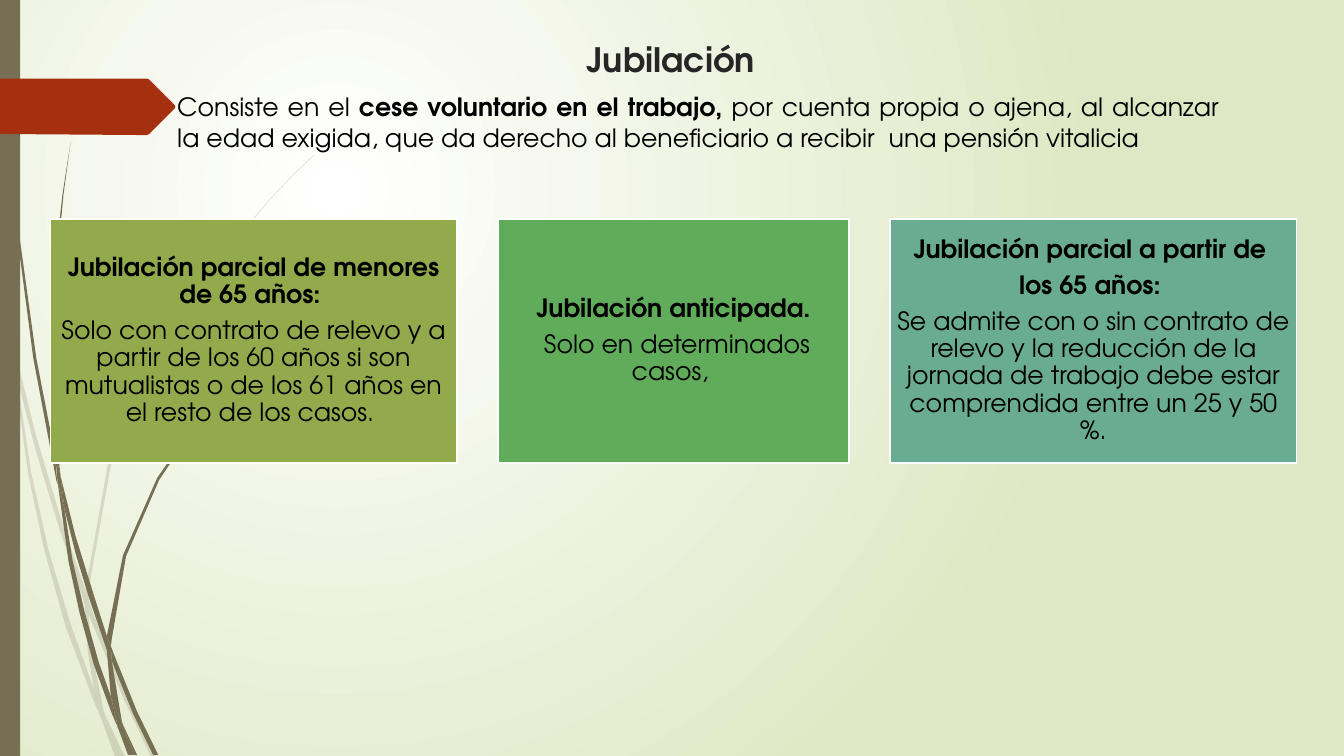
from lxml import etree
from pptx import Presentation
from pptx.dml.color import RGBColor
from pptx.enum.shapes import MSO_SHAPE
from pptx.enum.text import MSO_ANCHOR, MSO_AUTO_SIZE, PP_ALIGN
from pptx.oxml.ns import qn
from pptx.util import Pt

PX = 9144  # EMU per px, 100 px to the inch
FONT = "TeX Gyre Adventor"
BROWN, RED, WHITE, BLACK = "766F54", "A53010", "FFFFFF", "000000"
RECT = MSO_SHAPE.RECTANGLE
TOP, MIDDLE = MSO_ANCHOR.TOP, MSO_ANCHOR.MIDDLE
CENTER, JUSTIFY = PP_ALIGN.CENTER, PP_ALIGN.JUSTIFY


def paint(fill, color):
    fill.solid()
    fill.fore_color.rgb = RGBColor.from_string(color)


def add_text(p, text, size=18, bold=False, color=BLACK, align=CENTER):
    p.alignment = align
    r = p.add_run()
    r.text = text
    r.font.name, r.font.size, r.font.bold = FONT, Pt(size), bold
    paint(r.font.fill, color)


prs = Presentation()
prs.slide_width, prs.slide_height = 1333 * PX, 750 * PX
slide = prs.slides.add_slide(prs.slide_layouts[5])
shapes = slide.shapes

# Background: radial gradient, white at a quarter of the width and height
bg = slide.background.fill
bg.gradient()
for stop, color, position in zip(bg.gradient_stops, (WHITE, "DFE8C4"), (0, 1)):
    stop.color.rgb = RGBColor.from_string(color)
    stop.position = position
lin = slide.element.find(".//" + qn("a:lin"))
path = etree.Element(qn("a:path"), path="circle")
etree.SubElement(path, qn("a:fillToRect"), l="50000", t="50000", r="100000", b="100000")
lin.getparent().replace(lin, path)

# Outlines of the grass blades, the edge bar and the tag
PALE_BLADES = [
    "11,350 9,322 0,282 0,299 10,344",
    "58,522 84,599 85,586 62,520 36,433 14,345 17,376 36,449",
    "92,607 88,596 88,610 123,694 150,751 155,751 127,692",
    "119,751 124,751 105,711",
    "93,683 70,619 48,545 31,469 17,376 11,350 28,470 44,546 65,621 92,693 101,714 99,707",
    "84,599 87,646 93,683 96,692 105,711 103,706 91,646 88,610 88,608",
    "88,584 110,462 160,349 229,245 268,198 290,175 312,154 312,153 289,175 268,197 "
    "228,244 158,348 107,461 85,584 85,586 88,596",
    "101,714 114,751 119,751",
    "88,608 88,610 88,596 85,586 84,599",
    "96,692 93,683 99,707 101,714 119,751 105,711",
]
DARK_BLADES = [
    "7,110 17,233 33,355 56,477 57,481 55,457 55,453 36,355 19,232 8,109 5,48 4,0 3,0 4,48",
    "88,592 106,645 106,633 106,631 93,590 75,532 60,472 64,505 75,549",
    "113,649 110,641 111,656 132,708 152,749 157,749 136,706",
    "110,691 98,657 84,607 72,556 64,505 57,477 68,557 79,608 93,659 111,708 117,722 116,717",
    "60,472 58,453 54,349 58,245 63,193 70,141 62,193 56,245 52,349 55,449",
    "133,749 136,749 122,719",
    "57,477 64,505 60,472 55,449 55,453",
    "111,633 125,552 158,476 205,406 231,374 245,359 261,344 260,344 245,358 231,373 "
    "204,405 156,474 122,551 106,631 110,641",
    "117,722 127,749 131,749",
    "106,645 110,691 116,706 122,719 121,716 111,656 109,651",
    "106,645 109,651 111,656 110,641 106,631 106,633",
    "116,706 110,691 116,717 117,722 130,749 133,749 122,719",
]
EDGE_BAR = "0,0 20,0 20,750 0,750"
TAG = "173,108 148,133 146,134 136,134 0,133 0,78 146,78 148,79 173,104 174,106"
for outlines, color, opacity in ((PALE_BLADES, BROWN, 20), (DARK_BLADES, BROWN, 100),
                                 ([EDGE_BAR], BROWN, 100), ([TAG], RED, 100)):
    for outline in outlines:
        if outline == EDGE_BAR:
            sp = shapes.add_shape(RECT, 0, 0, 20 * PX, 750 * PX)
        else:
            points = [tuple(int(n) for n in pair.split(",")) for pair in outline.split()]
            builder = shapes.build_freeform(*points[0], scale=PX)
            builder.add_line_segments(points[1:], close=True)
            sp = builder.convert_to_shape()
        sp.shadow.inherit = False
        paint(sp.fill, color)
        sp.line.fill.background()
        if opacity < 100:
            clr = sp.element.spPr.find(".//" + qn("a:srgbClr"))
            etree.SubElement(clr, qn("a:alpha"), val=str(opacity * 1000))

title = shapes.title
title.left, title.top, title.width, title.height = 176 * PX, 34 * PX, 988 * PX, 47 * PX
tf = title.text_frame
tf.auto_size, tf.word_wrap, tf.vertical_anchor = MSO_AUTO_SIZE.NONE, True, TOP
add_text(tf.paragraphs[0], "Jubilación ", size=24, bold=True, color="262626")

# Retirement types: width, fill, paragraphs as (text, bold)
RETIREMENT_TYPES = [
    (403, "92AA4C", [
        ("Jubilación parcial de menores de 65 años: ", True),
        ("Solo con contrato de relevo y a partir de los 60 años si son mutualistas "
         "o de los 61 años en el resto de los casos. ", False)]),
    (348, "60AC5A", [
        ("Jubilación anticipada.", True),
        (" Solo en determinados casos, ", False)]),
    (403, "6AAC91", [
        ("Jubilación parcial a partir de ", True),
        ("los 65 años: ", True),
        ("Se admite con o sin contrato de relevo y la reducción de la jornada de trabajo "
         "debe estar comprendida entre un 25 y 50 %.", False)]),
]
GAP = 41
left = 50
for width, color, paragraphs in RETIREMENT_TYPES:
    sp = shapes.add_shape(RECT, left * PX, 217 * PX, width * PX, 242 * PX)
    sp.shadow.inherit = False
    paint(sp.fill, color)
    paint(sp.line.fill, WHITE)
    sp.line.width = Pt(1.25)
    tf = sp.text_frame
    tf.word_wrap, tf.vertical_anchor = True, MIDDLE
    tf.margin_left = tf.margin_right = tf.margin_top = tf.margin_bottom = 7 * PX
    for i, (text, bold) in enumerate(paragraphs):
        p = tf.add_paragraph() if i else tf.paragraphs[0]
        p.line_spacing, p.space_after = 0.9, Pt(6.3)
        add_text(p, text, bold=bold)
    left += width + GAP

definition = shapes.add_textbox(166 * PX, 86 * PX, 1053 * PX, 71 * PX)
tf = definition.text_frame
tf.word_wrap, tf.auto_size = True, MSO_AUTO_SIZE.SHAPE_TO_FIT_TEXT
for text, bold in (
        ("Consiste en el ", False),
        ("cese voluntario en el trabajo,", True),
        (" por cuenta propia o ajena, al alcanzar la edad exigida, que da derecho "
         "al beneficiario a recibir  una pensión vitalicia", False)):
    add_text(tf.paragraphs[0], text, bold=bold, align=JUSTIFY)

prs.save("out.pptx")
